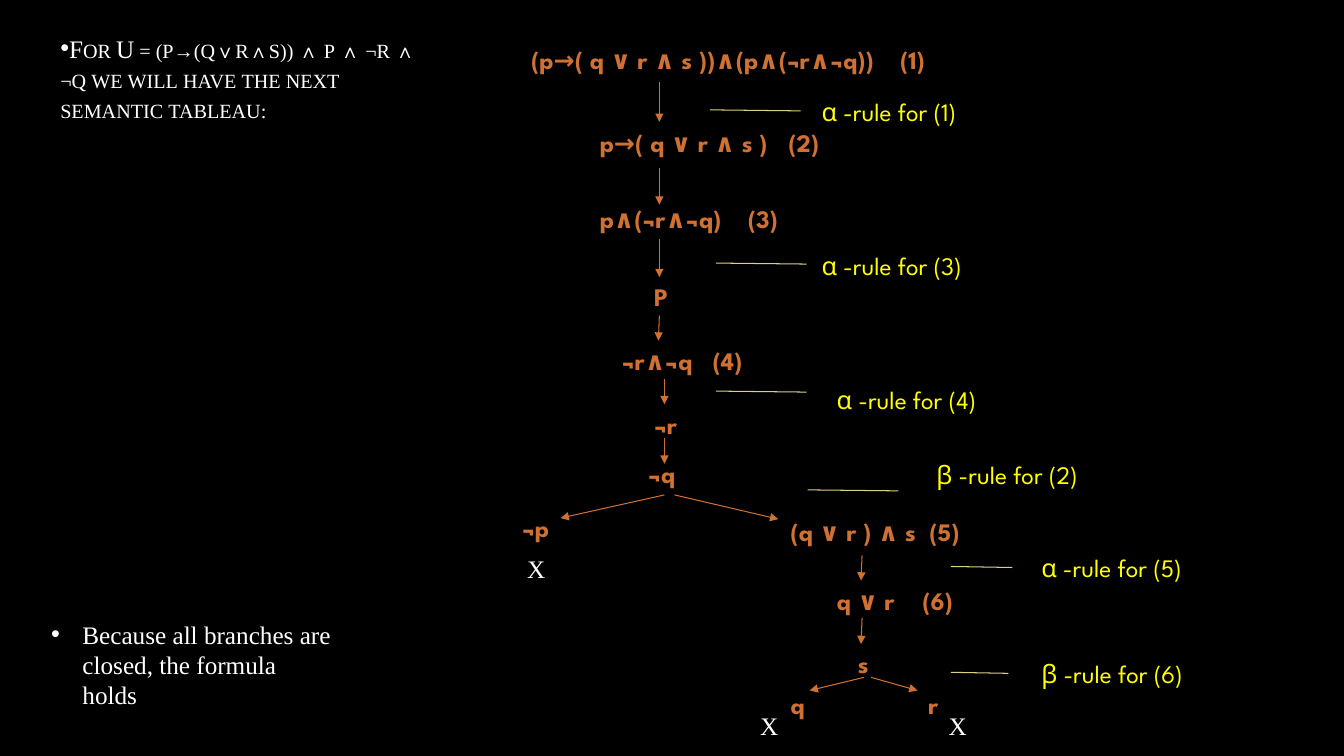
from typing import NamedTuple

import pptx
import pptx.dml.color
import pptx.enum.shapes
import pptx.enum.text
import pptx.util
from lxml import etree
from pptx.oxml.ns import qn
from pptx.util import Inches

COLORS = {
    "background": "000000",
    "formula": "CF7133",
    "rule": "FFFF00",
    "rule_line": "DCD084",
    "plain": "FFFFFF",
}
FORMULA_FONT = "League Spartan"
PLAIN_FONT = "Times New Roman"


class Formula(NamedTuple):
    text: str
    left: float
    top: float
    width: float
    number: str = ""
    tab: float = 0


class Rule(NamedTuple):
    text: str
    left: float
    top: float
    line_left: float
    line_top: float
    line_length: float = 0.9


class Arrow(NamedTuple):
    x1: float
    y1: float
    x2: float
    y2: float


class Closure(NamedTuple):
    left: float
    top: float


FORMULAS = [
    Formula("(p→( q ∨ r ∧ s ))∧(p∧(¬r∧¬q))", 5.17, 0.39, 4.41, "(1)", 3.66),
    Formula("p→( q ∨ r ∧ s )", 5.85, 1.21, 2.75, "(2)", 1.87),
    Formula("p∧(¬r∧¬q)", 5.85, 1.97, 2.02, "(3)", 1.47),
    Formula("P", 6.39, 2.74, 0.98),
    Formula("¬r∧¬q", 6.07, 3.38, 1.72, "(4)", 0.9),
    Formula("¬r", 6.39, 4.01, 0.83),
    Formula("¬q", 6.33, 4.5, 1.1),
    Formula("¬p", 5.08, 5.03, 0.62),
    Formula("(q ∨ r ) ∧ s", 7.74, 5.07, 2.81, "(5)", 1.38),
    Formula("q ∨ r", 8.2, 5.76, 1.73, "(6)", 0.85),
    Formula("s", 8.41, 6.38, 0.45),
    Formula("q", 7.74, 6.79, 0.46),
    Formula("r", 9.11, 6.79, 0.53),
]
RULES = [
    Rule("α -rule for (1)", 8.05, 0.91, 7.04, 1.09),
    Rule("α -rule for (3)", 8.05, 2.43, 7.1, 2.61),
    Rule("α -rule for (4)", 8.2, 3.76, 7.1, 3.88),
    Rule("β -rule for (2)", 9.19, 4.51, 8.01, 4.86),
    Rule("α -rule for (5)", 10.23, 5.43, 9.43, 5.62, 0.61),
    Rule("β -rule for (6)", 10.23, 6.48, 9.43, 6.67, 0.57),
]
ARROWS = [
    Arrow(6.54, 0.81, 6.54, 1.21),
    Arrow(6.54, 1.67, 6.54, 2.03),
    Arrow(6.54, 2.37, 6.54, 2.75),
    Arrow(6.54, 3.13, 6.53, 3.38),
    Arrow(6.59, 3.76, 6.59, 4.01),
    Arrow(6.59, 4.35, 6.59, 4.6),
    Arrow(6.59, 4.91, 5.56, 5.14),
    Arrow(6.69, 4.91, 7.72, 5.15),
    Arrow(8.55, 5.51, 8.54, 5.76),
    Arrow(8.55, 6.13, 8.54, 6.39),
    Arrow(8.57, 6.72, 8.03, 6.85),
    Arrow(8.64, 6.72, 9.1, 6.85),
]
CLOSURES = [Closure(5.13, 5.44), Closure(7.44, 7), Closure(9.31, 7)]


def rgb(name: str) -> pptx.dml.color.RGBColor:
    return pptx.dml.color.RGBColor.from_string(COLORS[name])


def add_text_box(s, left: float, top: float, width: float, height: float = 0.4):
    """Add an empty wrapping text box and return its first paragraph."""
    tf = s.shapes.add_textbox(
        Inches(left), Inches(top), Inches(width), Inches(height)
    ).text_frame
    tf.word_wrap = True
    return tf.paragraphs[0]


def add_run(p, text: str, color: str, font: str, bold: bool = False):
    r = p.add_run()
    r.text = text
    r.font.size = pptx.util.Pt(18)
    r.font.name = font
    r.font.bold = bold
    r.font.color.rgb = rgb(color)
    return r


def add_bullet(p, hanging: float) -> None:
    pPr = p._p.get_or_add_pPr()
    pPr.set("marL", str(Inches(hanging)))
    pPr.set("indent", str(-Inches(hanging)))
    etree.SubElement(pPr, qn("a:buFont")).set("typeface", "Arial")
    etree.SubElement(pPr, qn("a:buChar")).set("char", "•")


def add_line(s, ends: Arrow, color: str, arrowhead: bool = False) -> None:
    line = s.shapes.add_connector(
        pptx.enum.shapes.MSO_CONNECTOR.STRAIGHT, *(Inches(v) for v in ends)
    )
    line.line.color.rgb = rgb(color)
    line.line.width = pptx.util.Pt(0.75)
    if arrowhead:
        ln = line.line._get_or_add_ln()
        etree.SubElement(ln, qn("a:tailEnd")).set("type", "triangle")
    etree.SubElement(line._element.spPr, qn("a:effectLst"))


def add_formula(s, formula: Formula) -> None:
    """Write a formula, with its number at a tab stop."""
    p = add_text_box(s, formula.left, formula.top, formula.width)
    if formula.number:
        tabs = etree.SubElement(p._p.get_or_add_pPr(), qn("a:tabLst"))
        etree.SubElement(
            tabs, qn("a:tab"), pos=str(Inches(formula.tab)), algn="l"
        )
    add_run(p, formula.text, "formula", FORMULA_FONT, bold=True)
    if formula.number:
        add_run(p, "\t" + formula.number, "formula", FORMULA_FONT, bold=True)


def add_rule(s, rule: Rule) -> None:
    x, y = rule.line_left, rule.line_top
    add_line(s, Arrow(x, y, x + rule.line_length, y + 0.01), "rule_line")
    p = add_text_box(s, rule.left, rule.top, 1.9)
    add_run(p, rule.text, "rule", FORMULA_FONT)


def add_heading(s) -> None:
    p = add_text_box(s, 0.5, 0.28, 3.76, 1.0)
    add_bullet(p, 0)
    text = "For U = (p→(q∨r∧s)) ∧ p ∧ ¬r ∧ ¬q we will have the next semantic tableau:"
    r = add_run(p, text, "plain", PLAIN_FONT)
    r.font._element.set("cap", "small")


def add_conclusion(s) -> None:
    p = add_text_box(s, 0.41, 6.09, 3, 1.01)
    add_bullet(p, 0.31)
    text = "Because all branches are closed, the formula holds"
    add_run(p, text, "plain", PLAIN_FONT)


def main() -> None:
    prs = pptx.Presentation()
    prs.slide_width, prs.slide_height = Inches(13.33), Inches(7.5)
    s = prs.slides.add_slide(prs.slide_layouts[6])
    s.background.fill.solid()
    s.background.fill.fore_color.rgb = rgb("background")

    add_heading(s)
    for formula in FORMULAS:
        add_formula(s, formula)
    for arrow in ARROWS:
        add_line(s, arrow, "formula", arrowhead=True)
    for rule in RULES:
        add_rule(s, rule)
    for closure in CLOSURES:
        p = add_text_box(s, closure.left, closure.top, 0.6)
        add_run(p, "X", "plain", PLAIN_FONT)
    add_conclusion(s)
    prs.save("out.pptx")


if __name__ == "__main__":
    main()
